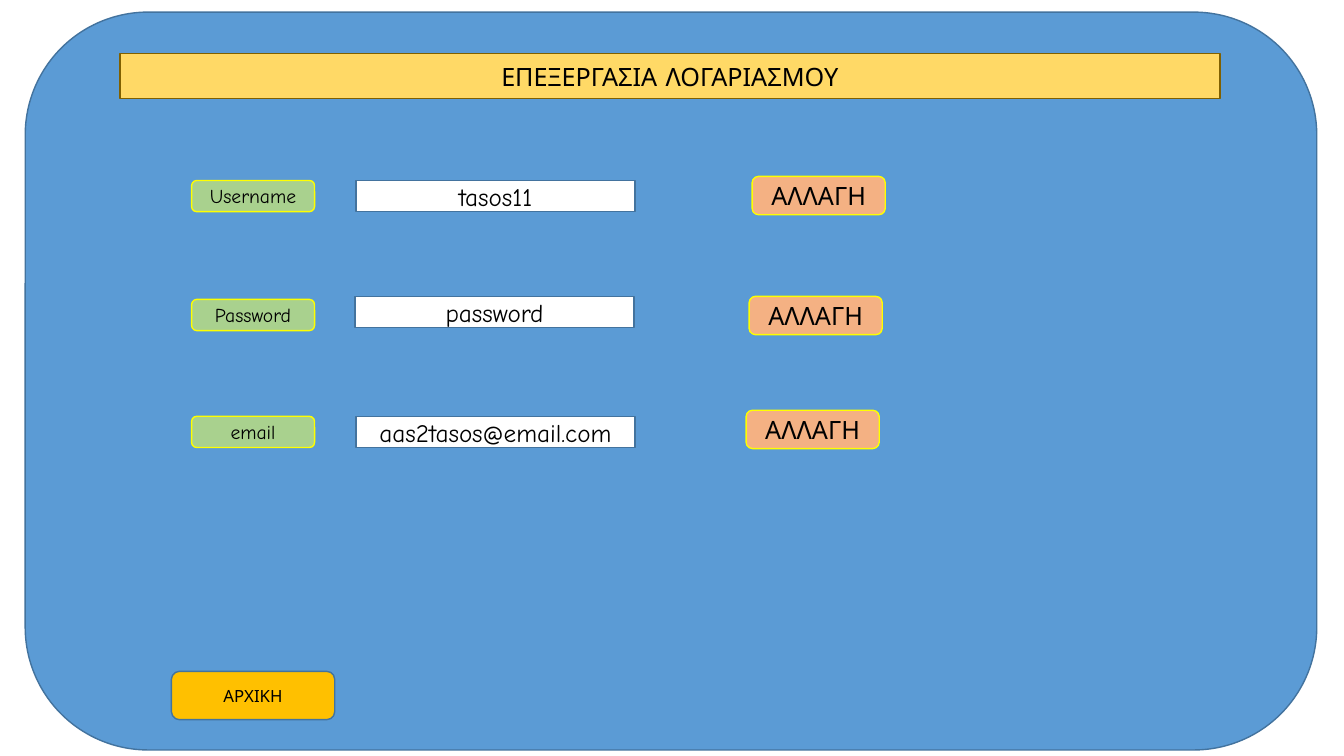
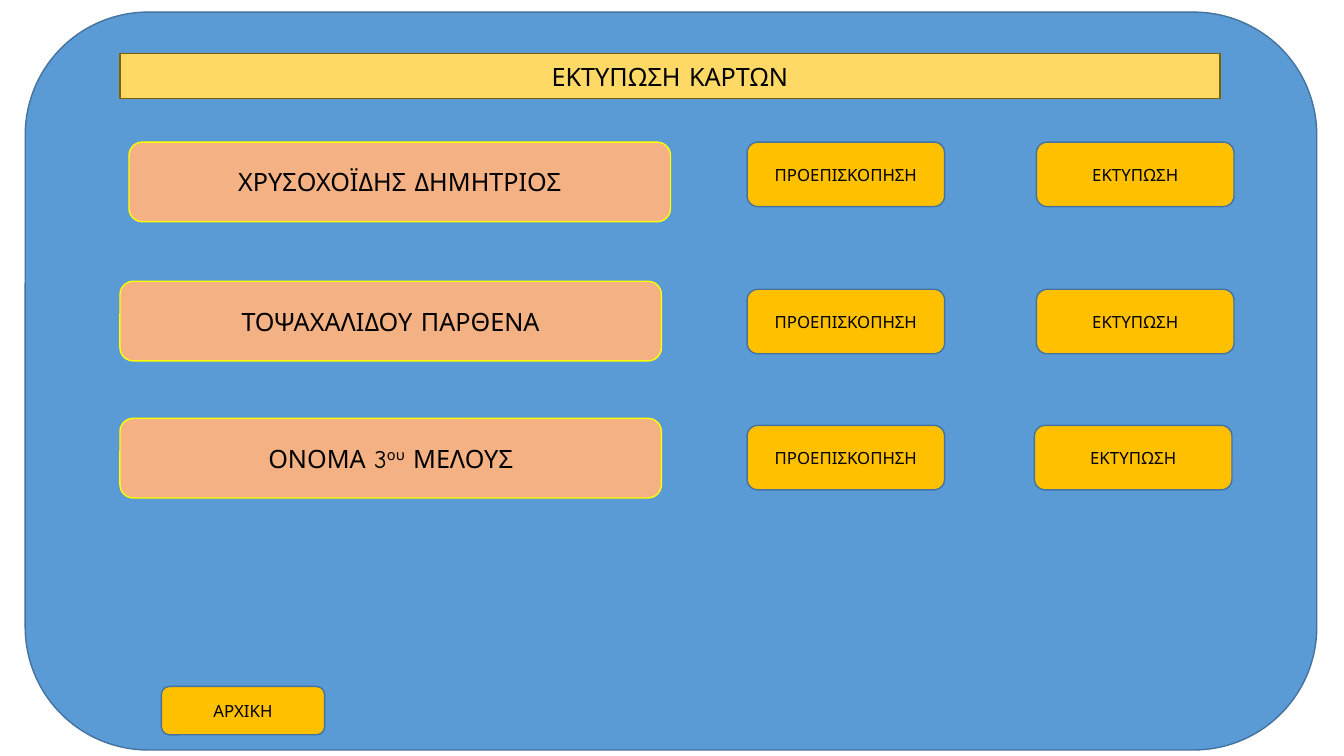
"""Builds the account editing and card printing screens."""
from dataclasses import dataclass

from pptx import Presentation
from pptx.dml.color import RGBColor
from pptx.enum.shapes import MSO_SHAPE
from pptx.enum.text import MSO_ANCHOR, MSO_AUTO_SIZE, PP_ALIGN
from pptx.util import Inches, Pt

FONT = "Comic Neue"
BLUE_EDGE = "43739E"
YELLOW = "FFFF00"
TITLE_ONLY = 5


@dataclass(frozen=True)
class Style:
    """Look and size of one kind of box."""
    fill: str
    line: str
    size: int
    width: float
    height: float
    shape: MSO_SHAPE = MSO_SHAPE.ROUNDED_RECTANGLE


@dataclass(frozen=True)
class Run:
    """Piece of text, raised when superscript."""
    text: str
    superscript: bool = False


@dataclass(frozen=True)
class Box:
    """Styled box with its place and text runs."""
    style: Style
    left: float
    top: float
    runs: tuple[Run, ...]


@dataclass(frozen=True)
class AccountRow:
    """Label, value and change button of one account field."""
    label: str
    value: str
    label_top: float
    value_left: float
    value_top: float
    button_left: float
    button_top: float


@dataclass(frozen=True)
class CardRow:
    """Member name with its preview and print buttons."""
    runs: tuple[Run, ...]
    name_left: float
    name_top: float
    button_top: float
    print_left: float


PANEL = Style("5B9BD5", BLUE_EDGE, 18, 12.81, 7.32)
TITLE = Style("FFD966", "806000", 18, 10.91, 0.45)
LABEL = Style("A9D18E", YELLOW, 14, 1.22, 0.31)
FIELD = Style("FFFFFF", BLUE_EDGE, 18, 2.77, 0.31, MSO_SHAPE.RECTANGLE)
CHANGE = Style("F4B183", YELLOW, 18, 1.32, 0.38)
NAME = Style("F4B183", YELLOW, 18, 5.37, 0.79)
ACTION = Style("FFC000", BLUE_EDGE, 12, 1.96, 0.64)
HOME = Style("FFC000", BLUE_EDGE, 12, 1.62, 0.48)

ACCOUNT_ROWS = (
    AccountRow("Username", "tasos11", 1.79, 3.53, 1.79, 7.46, 1.75),
    AccountRow("Password", "password", 2.97, 3.52, 2.94, 7.43, 2.94),
    AccountRow("email", "aas2tasos@email.com", 4.13, 3.53, 4.13, 7.4, 4.07),
)
CARD_ROWS = (
    CardRow((Run("ΧΡΥΣΟΧΟΪΔΗΣ ΔΗΜΗΤΡΙΟΣ"),), 1.28, 1.41, 1.41, 10.28),
    CardRow((Run("ΤΟΨΑΧΑΛΙΔΟΥ ΠΑΡΘΕΝΑ"),), 1.19, 2.79, 2.87, 10.28),
    CardRow((Run("ΟΝΟΜΑ 3"), Run("ου", True), Run(" ΜΕΛΟΥΣ")),
            1.19, 4.15, 4.22, 10.26),
)


def rgb(value: str) -> RGBColor:
    """Turn a hex string into a colour."""
    return RGBColor.from_string(value)


def paint(sp, style: Style) -> None:
    """Apply fill and outline."""
    sp.fill.solid()
    sp.fill.fore_color.rgb = rgb(style.fill)
    sp.line.color.rgb = rgb(style.line)
    sp.line.width = Pt(1)


def write(sp, style: Style, runs: tuple[Run, ...]) -> None:
    """Write centred text run by run."""
    tf = sp.text_frame
    tf.word_wrap = True
    tf.auto_size = MSO_AUTO_SIZE.NONE
    tf.vertical_anchor = MSO_ANCHOR.MIDDLE
    p = tf.paragraphs[0]
    p.alignment = PP_ALIGN.CENTER
    for run in runs:
        r = p.add_run()
        r.text = run.text
        r.font.name = FONT
        r.font.size = Pt(style.size)
        r.font.color.rgb = rgb("000000")
        if run.superscript:
            r._r.get_or_add_rPr().set("baseline", "30000")


def add_box(s, box: Box):
    """Draw one box and return its shape."""
    style = box.style
    sp = s.shapes.add_shape(style.shape, Inches(box.left), Inches(box.top),
                            Inches(style.width), Inches(style.height))
    sp.shadow.inherit = False
    paint(sp, style)
    write(sp, style, box.runs)
    return sp


def add_screen(prs, title: str, boxes: list[Box]) -> None:
    """Add a slide with the panel, title band and boxes."""
    s = prs.slides.add_slide(prs.slide_layouts[TITLE_ONLY])
    panel = add_box(s, Box(PANEL, 0.25, 0.12, ()))
    band = s.shapes.title
    panel.element.addnext(band.element)
    band.left, band.top = Inches(1.19), Inches(0.53)
    band.width, band.height = Inches(TITLE.width), Inches(TITLE.height)
    paint(band, TITLE)
    write(band, TITLE, (Run(title),))
    for box in boxes:
        add_box(s, box)


def home_button(left: float, top: float) -> Box:
    """Return the button that leads to the start screen."""
    return Box(HOME, left, top, (Run("ΑΡΧΙΚΗ"),))


def account_boxes() -> list[Box]:
    """Return the boxes of the account screen."""
    boxes = []
    for row in ACCOUNT_ROWS:
        boxes += [
            Box(LABEL, 1.9, row.label_top, (Run(row.label),)),
            Box(FIELD, row.value_left, row.value_top, (Run(row.value),)),
            Box(CHANGE, row.button_left, row.button_top, (Run("ΑΛΛΑΓΗ"),)),
        ]
    return boxes + [home_button(1.7, 6.66)]


def card_boxes() -> list[Box]:
    """Return the boxes of the card printing screen."""
    boxes = []
    for row in CARD_ROWS:
        boxes += [
            Box(NAME, row.name_left, row.name_top, row.runs),
            Box(ACTION, 7.41, row.button_top, (Run("ΠΡΟΕΠΙΣΚΟΠΗΣΗ"),)),
            Box(ACTION, row.print_left, row.button_top, (Run("ΕΚΤΥΠΩΣΗ"),)),
        ]
    return boxes + [home_button(1.6, 6.81)]


def main() -> None:
    """Build and save the presentation."""
    prs = Presentation()
    prs.slide_width, prs.slide_height = Inches(13.33), Inches(7.5)
    add_screen(prs, "ΕΠΕΞΕΡΓΑΣΙΑ ΛΟΓΑΡΙΑΣΜΟΥ", account_boxes())
    add_screen(prs, "ΕΚΤΥΠΩΣΗ ΚΑΡΤΩΝ", card_boxes())
    prs.save("out.pptx")


if __name__ == "__main__":
    main()
